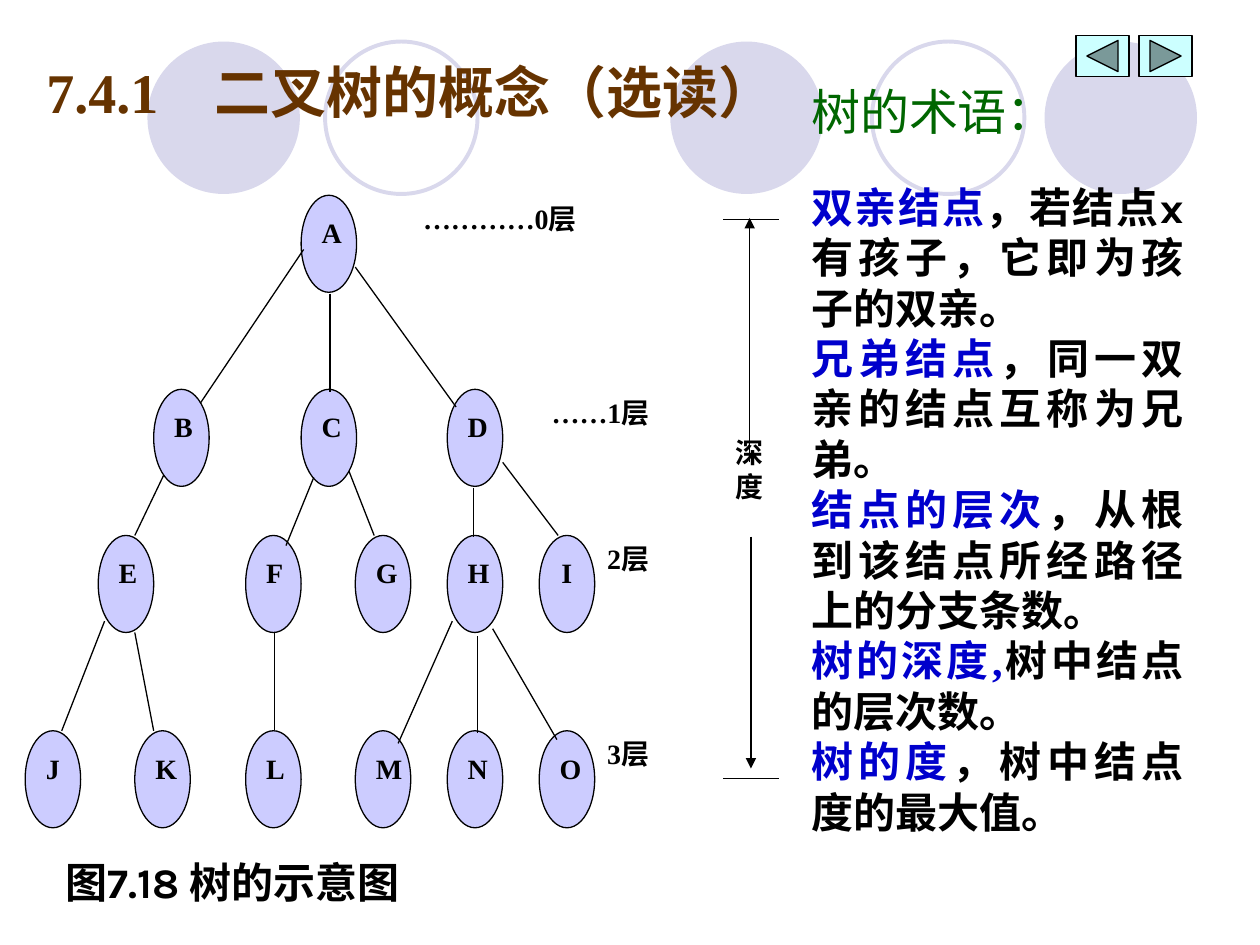
from pptx import Presentation, util as u
from pptx.dml.color import RGBColor
from pptx.enum import shapes, text
from pptx.oxml.ns import qn
from lxml import etree

# Theme
THEME = dict(
    ink="000000", title="663300", term="0000CC", head="006600",
    disc="D9D8EC", node="CCCCFF", button="CCFFFF",
    serif="Times New Roman", sans="Arial", latin="Karla",
    small=16, body=24, large=28, huge=32, thin=0.75, ring=2.25)
T = THEME
LEFT, MID, JUST = (text.PP_ALIGN.LEFT, text.PP_ALIGN.CENTER,
                   text.PP_ALIGN.JUSTIFY)

# Content: a paragraph is a list of (words, colour, font) runs
TITLE = "7.4.1\u3000二叉树的概念（选读）".replace("\u3000", "　")
HEAD = "树的术语："
CAPTION = [("图", "ink", "serif"), ("7.18 ", "ink", "latin"),
           ("树的示意图", "ink", "serif")]
TERMS = [
    [("双亲结点", "term", "serif"), ("，若结点", "ink", "serif"),
     ("x", "ink", "latin"), ("有孩子，它即为孩子的双亲。", "ink", "serif")],
    [("兄弟结点", "term", "serif"),
     ("，同一双亲的结点互称为兄弟。", "ink", "serif")],
    [("结点的层次", "term", "serif"),
     ("，从根到该结点所经路径上的分支条数。", "ink", "serif")],
    [("树的深度,", "term", "serif"), ("树中结点的层次数。", "ink", "serif")],
    [("树的度", "term", "serif"), ("，树中结点度的最大值。", "ink", "serif")],
]

# Tree levels: top, label, label left, nodes by left edge
LEVELS = [
    (1.55, "…………0层", 3.26, {"A": 2.39}),
    (3.09, "……1层", 4.28, {"B": 1.22, "C": 2.39, "D": 3.55}),
    (4.25, "2层", 4.72,
     {"E": 0.78, "F": 1.95, "G": 2.82, "H": 3.55, "I": 4.28}),
    (5.8, "3层", 4.72,
     {"J": 0.2, "K": 1.07, "L": 1.95, "M": 2.82, "N": 3.55, "O": 4.28}),
]
NODE_W, NODE_H, LABEL_END = 0.44, 0.77, 5.6

# Branches, parent end to child end
EDGES = [
    (2.41, 1.98, 1.59, 3.2), (2.62, 2.33, 2.62, 3.11),
    (2.82, 2.12, 3.62, 3.23), (1.3, 3.77, 1.07, 4.25),
    (2.49, 3.79, 2.27, 4.33), (2.77, 3.74, 2.97, 4.25),
    (3.76, 3.87, 3.76, 4.26), (3.99, 3.67, 4.43, 4.25),
    (0.83, 4.93, 0.49, 5.8), (1.07, 5.02, 1.22, 5.8),
    (2.18, 5.02, 2.18, 5.79), (3.59, 4.93, 3.16, 5.9),
    (3.79, 5.05, 3.79, 5.82), (3.91, 4.99, 4.42, 5.87),
]

# Depth gauge
TICKS = [(5.74, y, 6.18, y) for y in (1.74, 6.18)]
ARROWS = [(5.95, 3.67, 5.95, 1.73), (5.96, 4.26, 5.96, 6.1)]

# Backdrop circles and navigation buttons
DISCS, RINGS, DISC_TOP, DISC_D = (1.17, 5.32, 8.29), (2.58, 6.92), 0.33, 1.21
BUTTONS = [(8.54, shapes.MSO_SHAPE.ACTION_BUTTON_BACK_OR_PREVIOUS),
           (9.04, shapes.MSO_SHAPE.ACTION_BUTTON_FORWARD_OR_NEXT)]

prs = Presentation()
prs.slide_width, prs.slide_height = u.Inches(10), u.Inches(7.5)
slide = prs.slides.add_slide(prs.slide_layouts[6])


def rgb(name):
    return RGBColor.from_string(T[name])


def write(frame, paras, size="small", align=LEFT, bold=True, wrap=True,
          anchor=text.MSO_ANCHOR.TOP, color="ink", font="serif", top=0.05):
    """Fill a frame with one string or a list of run lists."""
    if isinstance(paras, str):
        paras = [[(paras, color, font)]]
    frame.word_wrap, frame.vertical_anchor = wrap, anchor
    frame.margin_top = u.Inches(top)
    for i, runs in enumerate(paras):
        para = frame.add_paragraph() if i else frame.paragraphs[0]
        para.alignment = align
        for words, hue, face in runs:
            run = para.add_run()
            run.text = words
            run.font.size, run.font.bold = u.Pt(T[size]), bold
            run.font.name, run.font.color.rgb = T[face], rgb(hue)


def label(box, paras, **look):
    area = slide.shapes.add_textbox(*map(u.Inches, box))
    write(area.text_frame, paras, **look)


def shape(kind, box, fill=None, line=None, width="thin"):
    item = slide.shapes.add_shape(kind, *map(u.Inches, box))
    item.shadow.inherit = False
    if fill:
        item.fill.solid()
        item.fill.fore_color.rgb = rgb(fill)
    else:
        item.fill.background()
    if line:
        item.line.color.rgb, item.line.width = rgb(line), u.Pt(T[width])
    else:
        item.line.fill.background()
    return item


def stroke(ends, arrow=False):
    item = slide.shapes.add_connector(
        shapes.MSO_CONNECTOR.STRAIGHT, *map(u.Inches, ends))
    item.line.color.rgb, item.line.width = rgb("ink"), u.Pt(T["thin"])
    props = item._element.spPr
    if arrow:
        etree.SubElement(props.find(qn("a:ln")), qn("a:tailEnd"),
                         type="triangle")
    etree.SubElement(props, qn("a:effectLst"))


# Backdrop
OVAL = shapes.MSO_SHAPE.OVAL
for x in DISCS:
    shape(OVAL, (x, DISC_TOP, DISC_D, DISC_D), fill="disc")
for x in RINGS:
    shape(OVAL, (x, DISC_TOP, DISC_D, DISC_D), line="disc", width="ring")

# Title
label((0.27, 0.3, 6.38, 0.85), TITLE, size="huge", color="title",
      anchor=text.MSO_ANCHOR.MIDDLE)

# Tree nodes and level labels
for y, name, left, nodes in LEVELS:
    for key, x in nodes.items():
        node = shape(OVAL, (x, y, NODE_W, NODE_H), fill="node", line="ink")
        write(node.text_frame, key, align=MID)
    label((left, y, LABEL_END - left, 0.58), name, align=JUST)

# Branches and depth gauge
for ends in EDGES + TICKS:
    stroke(ends)
label((5.74, 2.9, 0.44, 1.93), "深度", align=JUST, top=0.56)
for ends in ARROWS:
    stroke(ends, arrow=True)

# Caption and terms
label((0.42, 6.75, 4.27, 0.5), [CAPTION], size="body")
label((6.34, 1.39, 3.15, 5.3), TERMS, size="body", align=JUST)
label((6.34, 0.6, 2.14, 0.57), HEAD, size="large", bold=False, wrap=False,
      color="head", font="sans")

# Navigation buttons
for x, kind in BUTTONS:
    shape(kind, (x, 0.28, 0.42, 0.33), fill="button", line="ink")

prs.save("out.pptx")
